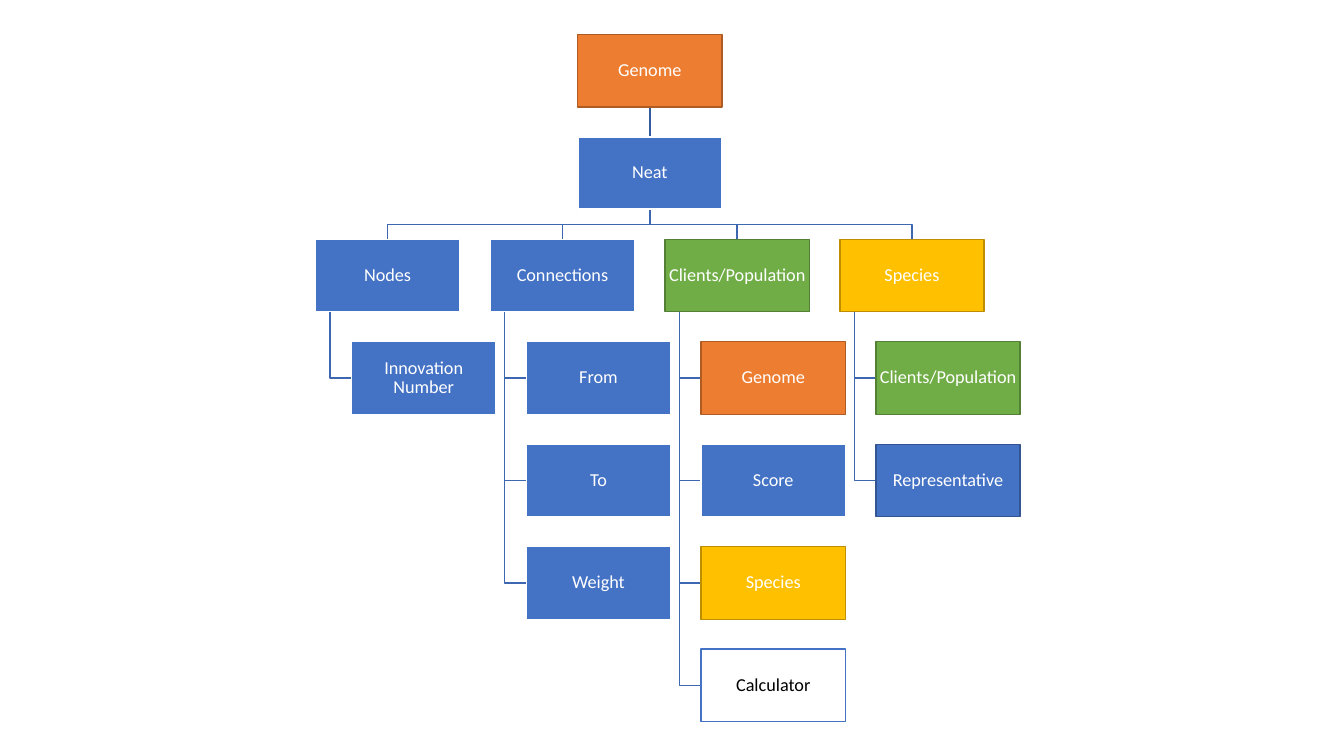
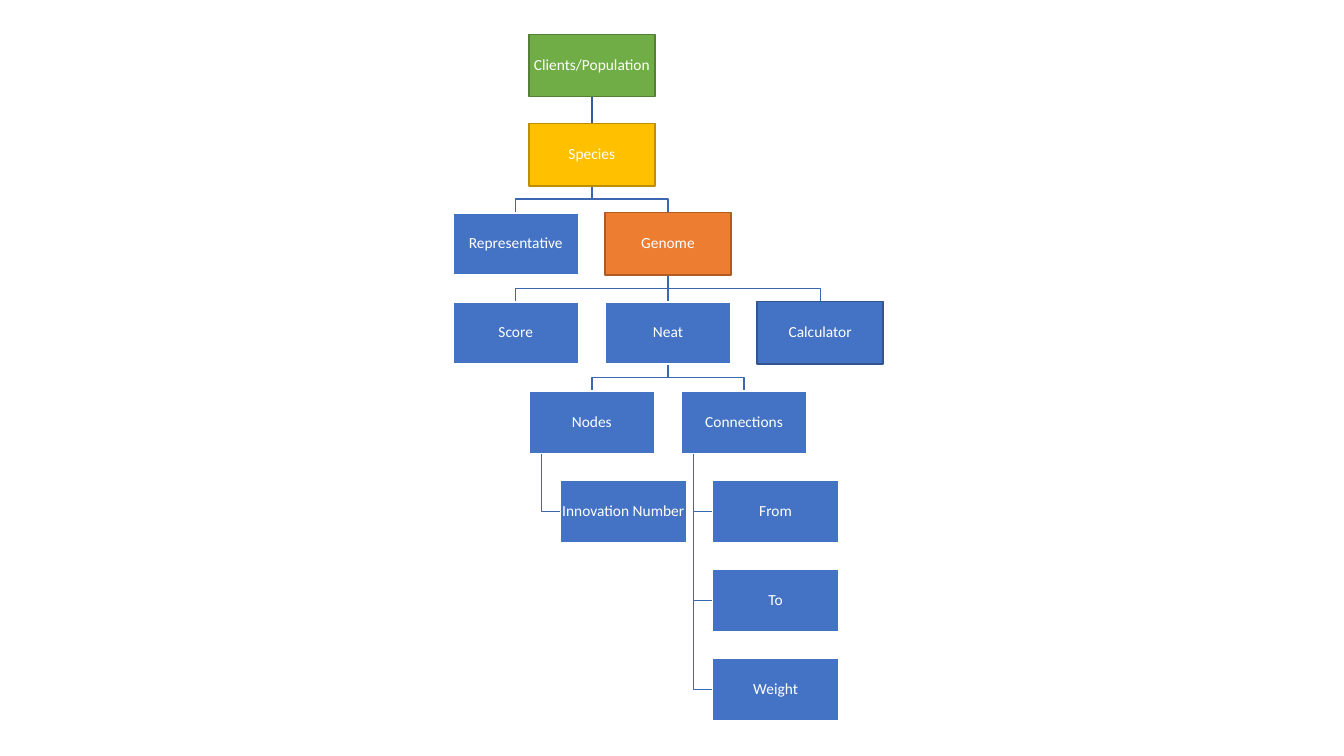
"""Draw two hierarchy charts of a neuroevolution program."""
from dataclasses import dataclass
from typing import Optional

from lxml.etree import SubElement
from pptx import Presentation
from pptx.dml.color import RGBColor
from pptx.enum.shapes import MSO_CONNECTOR, MSO_SHAPE
from pptx.enum.text import MSO_ANCHOR, PP_ALIGN
from pptx.oxml.ns import qn
from pptx.util import Inches, Pt

WHITE = RGBColor(0xFF, 0xFF, 0xFF)
BLACK = RGBColor(0x00, 0x00, 0x00)
BLUE = RGBColor(0x44, 0x72, 0xC4)
BLUE_EDGE = RGBColor(0x32, 0x54, 0x91)
ORANGE = RGBColor(0xED, 0x7D, 0x31)
ORANGE_EDGE = RGBColor(0xAF, 0x5C, 0x24)
GREEN = RGBColor(0x70, 0xAD, 0x47)
GREEN_EDGE = RGBColor(0x53, 0x80, 0x35)
YELLOW = RGBColor(0xFF, 0xC0, 0x00)
YELLOW_EDGE = RGBColor(0xBD, 0x8E, 0x00)
LINK = RGBColor(0x3E, 0x67, 0xB2)
ROOT_LINK = RGBColor(0x36, 0x5B, 0x9D)


@dataclass(frozen=True)
class Look:
    fill: RGBColor = BLUE
    edge: RGBColor = WHITE
    text: RGBColor = WHITE
    width: float = 1


PLAIN = Look()
BOLD_EDGE = Look(width=1.5)
EDGED = Look(edge=BLUE_EDGE)
OUTLINED = Look(fill=WHITE, edge=BLUE, text=BLACK)
GENOME = Look(ORANGE, ORANGE_EDGE)
CLIENTS = Look(GREEN, GREEN_EDGE)
SPECIES = Look(YELLOW, YELLOW_EDGE)


@dataclass
class Node:
    """A labelled box; without a column it hangs below its parent."""
    label: str
    look: Look = PLAIN
    column: Optional[float] = None
    children: tuple = ()


@dataclass
class Grid:
    """Box size and the even spacing of a chart, in inches."""
    left: float
    column_gap: float
    row_gap: float
    width: float
    height: float
    size: int
    top: float = 0.34

    def place(self, node, row, parent_left):
        """Return the left and top of a node."""
        if node.column is None:
            left = parent_left + self.width / 4
        else:
            left = self.left + node.column * self.column_gap
        return left, self.top + row * self.row_gap


def apply(target, values):
    """Set each named attribute on the target."""
    for name, value in values.items():
        setattr(target, name, value)


class Chart:
    """Holds the shared style and the current slide."""
    FRAME = dict(word_wrap=True, vertical_anchor=MSO_ANCHOR.MIDDLE,
                 **{f"margin_{side}": Inches(0.01)
                    for side in ("left", "top", "right", "bottom")})
    PARAGRAPH = dict(alignment=PP_ALIGN.CENTER, line_spacing=0.9)

    def __init__(self):
        """Start a wide presentation."""
        self.presentation = Presentation()
        apply(self.presentation, dict(slide_width=Inches(13.33), slide_height=Inches(7.5)))

    def add_slide(self, grid, root):
        """Draw a tree on a new slide, links behind boxes."""
        layout = self.presentation.slide_layouts[6]
        self.slide = self.presentation.slides.add_slide(layout)
        self.grid = grid
        boxes = []
        self.branch(root, 0, grid.place(root, 0, 0), boxes)
        for node, left, top in boxes:
            self.box(node, left, top)

    def branch(self, node, row, corner, boxes):
        """Link a node to its children and collect the boxes."""
        boxes.append((node, *corner))
        for index, child in enumerate(node.children):
            child_row = row + 1 + (index if child.column is None else 0)
            child_corner = self.grid.place(child, child_row, corner[0])
            self.link(child, corner, child_corner, LINK if row else ROOT_LINK)
            self.branch(child, child_row, child_corner, boxes)

    def link(self, child, corner, child_corner, color):
        """Join a parent and a child with a straight or bent line."""
        width, height = self.grid.width, self.grid.height
        (left, top), (child_left, child_top) = corner, child_corner
        bottom = top + height
        if child.column is None:
            stem, middle = left + width / 10, child_top + height / 2
            points = [(stem, bottom), (stem, middle), (child_left, middle)]
        else:
            start, end = left + width / 2, child_left + width / 2
            bend = (bottom + child_top) / 2
            points = [(start, bottom), (start, bend), (end, bend), (end, child_top)]
        points = [(Inches(x), Inches(y)) for x, y in points]
        if points[0][0] == points[-1][0]:
            line = self.slide.shapes.add_connector(
                MSO_CONNECTOR.STRAIGHT, *points[0], *points[-1])
            SubElement(line._element.spPr, qn("a:effectLst"))
        else:
            builder = self.slide.shapes.build_freeform(*points[0])
            builder.add_line_segments(points[1:], close=False)
            line = builder.convert_to_shape()
            line.fill.background()
            line.shadow.inherit = False
        line.line.color.rgb = color
        line.line.width = Pt(1)

    def box(self, node, left, top):
        """Draw a labelled rectangle."""
        grid, look = self.grid, node.look
        shape = self.slide.shapes.add_shape(
            MSO_SHAPE.RECTANGLE, *map(Inches, (left, top, grid.width, grid.height)))
        shape.shadow.inherit = False
        shape.fill.solid()
        shape.fill.fore_color.rgb = look.fill
        shape.line.color.rgb = look.edge
        shape.line.width = Pt(look.width)
        apply(shape.text_frame, self.FRAME)
        paragraph = shape.text_frame.paragraphs[0]
        apply(paragraph, self.PARAGRAPH)
        run = paragraph.add_run()
        run.text = node.label
        apply(run.font, dict(name="Calibri", size=Pt(grid.size)))
        run.font.color.rgb = look.text


def network(neat_column, nodes_column, connections_column, *others):
    """Return the Neat branch that both charts contain."""
    weights = tuple(map(Node, ("From", "To", "Weight")))
    return Node("Neat", BOLD_EDGE, neat_column, (
        Node("Nodes", PLAIN, nodes_column, (Node("Innovation Number"),)),
        Node("Connections", PLAIN, connections_column, weights),
        *others))


chart = Chart()
chart.add_slide(
    Grid(left=3.13, column_gap=5.2 / 3, row_gap=6.1 / 6, width=1.43, height=0.72, size=13),
    Node("Genome", GENOME, 1.5, (
        network(
            1.5, 0, 1,
            Node("Clients/Population", CLIENTS, 2, (
                Node("Genome", GENOME),
                Node("Score"),
                Node("Species", SPECIES),
                Node("Calculator", OUTLINED))),
            Node("Species", SPECIES, 3, (
                Node("Clients/Population", CLIENTS),
                Node("Representative", EDGED)))),)))
chart.add_slide(
    Grid(left=4.49, column_gap=1.51, row_gap=6.19 / 7, width=1.25, height=0.62, size=11),
    Node("Clients/Population", CLIENTS, 0.5, (
        Node("Species", SPECIES, 0.5, (
            Node("Representative", BOLD_EDGE, 0),
            Node("Genome", GENOME, 1, (
                Node("Score", BOLD_EDGE, 0),
                network(1, 0.5, 1.5),
                Node("Calculator", EDGED, 2))))),)))
chart.presentation.save("out.pptx")
